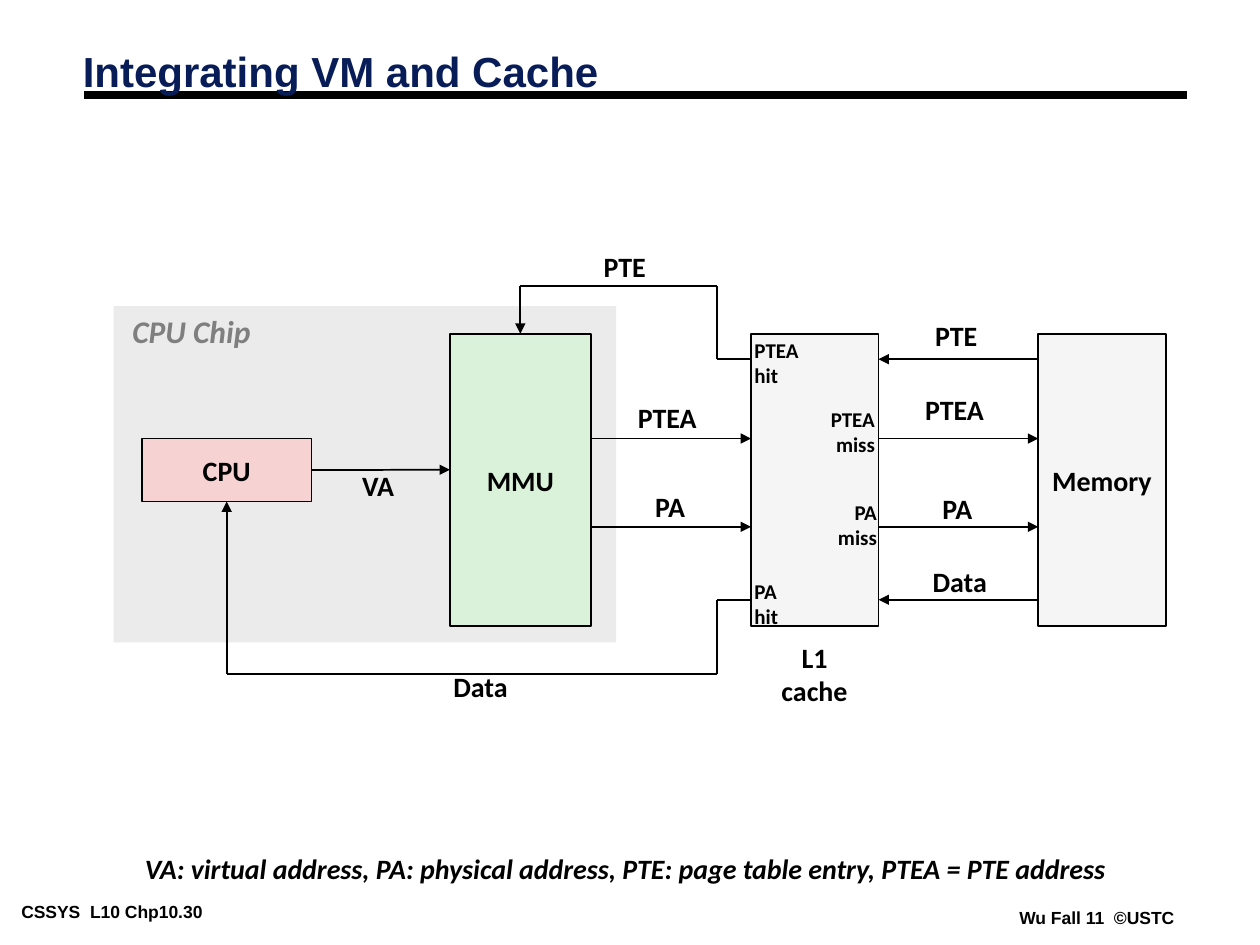
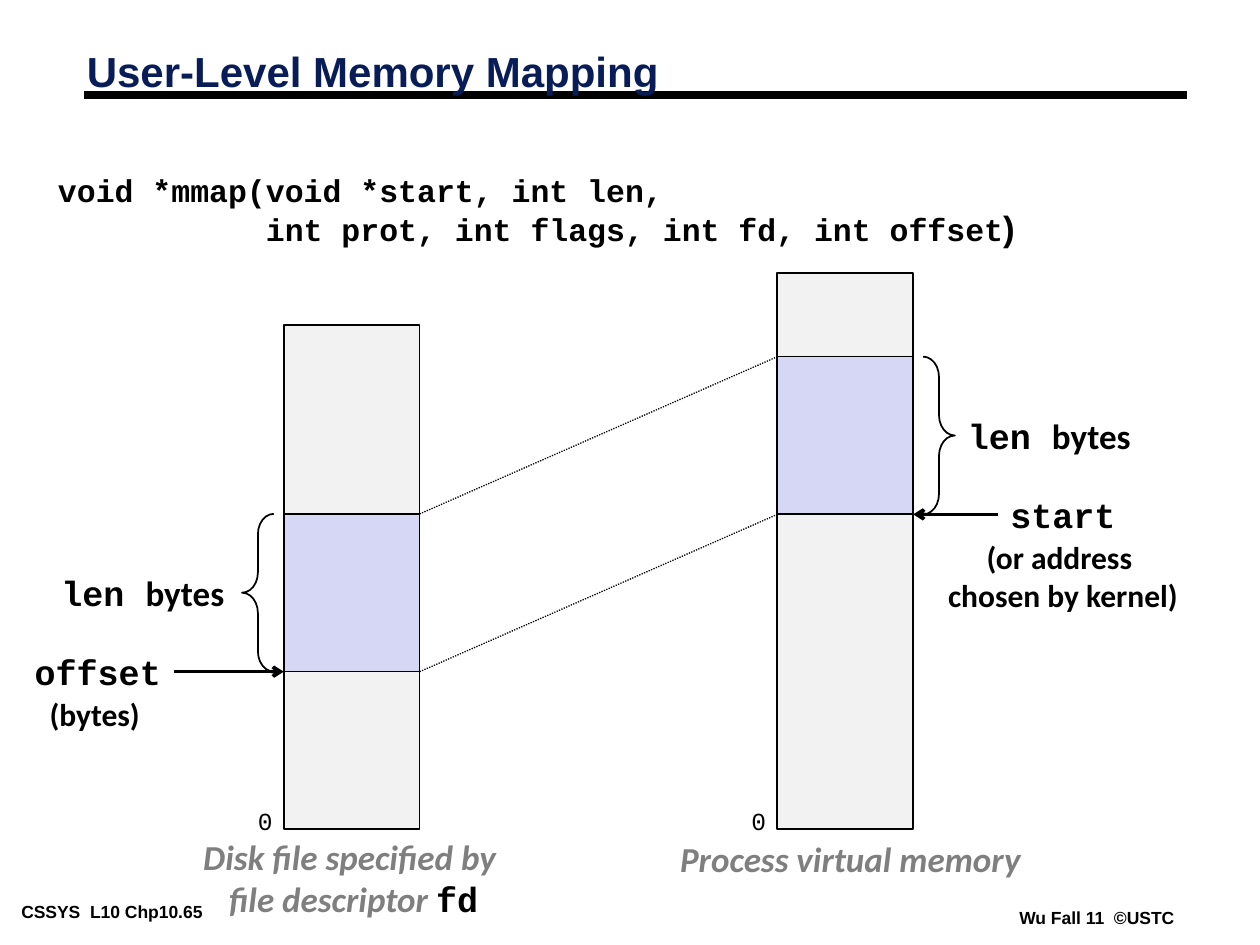
import pptx
import pptx.dml.color
import pptx.enum.dml
import pptx.enum.shapes
import pptx.enum.text
import pptx.oxml.ns
import pptx.util
from itertools import pairwise
from lxml import etree

Cm = pptx.util.Cm
Pt = pptx.util.Pt
RGBColor = pptx.dml.color.RGBColor
ALIGN = pptx.enum.text.PP_ALIGN
ANCHOR = pptx.enum.text.MSO_ANCHOR
FIT = pptx.enum.text.MSO_AUTO_SIZE
SHAPE = pptx.enum.shapes.MSO_SHAPE
STRAIGHT = pptx.enum.shapes.MSO_CONNECTOR.STRAIGHT
DOTTED = pptx.enum.dml.MSO_LINE.ROUND_DOT
qn = pptx.oxml.ns.qn

BLACK = RGBColor(0x00, 0x00, 0x00)
NAVY = RGBColor(0x08, 0x1D, 0x58)
GREY = RGBColor(0x7F, 0x7F, 0x7F)
CHIP_GREY = RGBColor(0xEB, 0xEB, 0xEB)
UNIT_GREY = RGBColor(0xF5, 0xF5, 0xF5)
COLUMN_GREY = RGBColor(0xF2, 0xF2, 0xF2)
PINK = RGBColor(0xF6, 0xD2, 0xD2)
GREEN = RGBColor(0xDB, 0xF2, 0xDA)
LILAC = RGBColor(0xD6, 0xD6, 0xF5)
SANS, HEADING, CODE = "Calibri", "Arial", "Courier New"
WIDE, TIGHT = (0.25, 0.13), (0.18, 0.08)
TOP, LEFT, BOTTOM, RIGHT = range(4)


def write_text(shape, lines, size=16, font=SANS, color=BLACK, bold=True,
               italic=False, align=ALIGN.LEFT, anchor=ANCHOR.TOP,
               insets=WIDE, spacing=None, wrap=False, fit=FIT.SHAPE_TO_FIT_TEXT):
    frame = shape.text_frame
    frame.word_wrap = wrap
    frame.auto_size = fit
    frame.vertical_anchor = anchor
    frame.margin_left = frame.margin_right = Cm(insets[0])
    frame.margin_top = frame.margin_bottom = Cm(insets[1])
    base = {"size": size, "font": font, "color": color, "italic": italic}
    for number, line in enumerate(lines):
        para = frame.paragraphs[0] if number == 0 else frame.add_paragraph()
        para.alignment = align
        if spacing:
            para.line_spacing = spacing
        for words, changes in [(line, {})] if isinstance(line, str) else line:
            style = base | changes
            span = para.add_run()
            span.text = words
            span.font.size = Pt(style["size"])
            span.font.name = style["font"]
            span.font.color.rgb = style["color"]
            span.font.bold = bold
            span.font.italic = style["italic"]


def add_text(page, box, *lines, **style):
    write_text(page.shapes.add_textbox(*map(Cm, box)), lines, **style)


def add_block(page, box, fill=None, outlined=True, label=None, kind=SHAPE.RECTANGLE):
    block = page.shapes.add_shape(kind, *map(Cm, box))
    block.shadow.inherit = False
    if fill is None:
        block.fill.background()
    else:
        block.fill.solid()
        block.fill.fore_color.rgb = fill
    if outlined:
        block.line.color.rgb = BLACK
        block.line.width = Pt(1)
    else:
        block.line.fill.background()
    if label:
        write_text(block, [label], align=ALIGN.CENTER, anchor=ANCHOR.MIDDLE, fit=FIT.NONE)
    return block


def add_line(page, start, end, width=1, arrow=None, dash=None):
    line = page.shapes.add_connector(STRAIGHT, *map(Cm, (*start, *end)))
    line.line.color.rgb = BLACK
    line.line.width = Pt(width)
    if dash:
        line.line.dash_style = dash
    properties = line.element.spPr
    if arrow:
        etree.SubElement(properties.find(qn("a:ln")), qn("a:tailEnd"), type=arrow)
    etree.SubElement(properties, qn("a:effectLst"))
    return line


def add_route(page, points):
    legs = list(pairwise(points))
    for start, end in legs[:-1]:
        add_line(page, start, end)
    return add_line(page, *legs[-1], arrow="triangle")


def add_frame(deck, title, title_left, number):
    page = deck.slides.add_slide(deck.slide_layouts[6])
    footer = {"size": 10, "font": HEADING, "insets": TIGHT}
    add_text(page, (0.25, 18.09, 5.33, 0.56), f"CSSYS  L10 Chp10.{number}", **footer)
    add_text(page, (20.37, 18.21, 3.51, 0.56), "Wu Fall 11  ©USTC", **footer)
    add_line(page, (1.7, 1.91), (23.92, 1.91), width=4.5)
    add_text(page, (title_left, 0.93, 21.08, 1.14), title, size=24, font=HEADING,
             color=NAVY, anchor=ANCHOR.MIDDLE, spacing=0.87, wrap=True)
    return page


def draw_translation(page, box):
    left, top = box[:2]

    def at(x, y, *size):
        return (left + x, top + y, *size)

    add_block(page, at(0, 1.27, 10.13, 6.78), CHIP_GREY, outlined=False)
    add_text(page, at(0.13, 1.27, 2.95, 1.02), "CPU Chip", size=18, color=GREY, italic=True)
    cpu = add_block(page, at(0.57, 3.94, 3.42, 1.27), PINK, label="CPU")
    mmu_x, mmu_end, cache_x, cache_end, memory_x = 6.78, 9.62, 12.85, 15.42, 18.64
    unit_top, unit_height = 1.83, 5.89
    mmu = add_block(page, at(mmu_x, unit_top, mmu_end - mmu_x, unit_height), GREEN, label="MMU")
    for x, label in ((cache_x, None), (memory_x, "Memory")):
        add_block(page, at(x, unit_top, 2.57, unit_height), UNIT_GREY, label=label)

    pte_y, ptea_y, pa_y, data_y = 2.34, 3.94, 5.72, 7.19
    for start, end, y in (
        (mmu_end, cache_x, ptea_y),
        (mmu_end, cache_x, pa_y),
        (memory_x, cache_end, pte_y),
        (cache_end, memory_x, ptea_y),
        (cache_end, memory_x, pa_y),
        (memory_x, cache_end, data_y),
    ):
        add_line(page, at(start, y), at(end, y), arrow="triangle")
    address = add_line(page, at(3.99, 4.57), at(mmu_x, 4.57), arrow="triangle")
    address.begin_connect(cpu, RIGHT)

    bend_x = 12.17
    for start_y, turn_y, end_x, end_y, unit, side in (
        (pte_y, 0.86, 8.2, unit_top, mmu, TOP),
        (data_y, 8.69, 2.28, 5.21, cpu, BOTTOM),
    ):
        corners = ((cache_x, start_y), (bend_x, start_y), (bend_x, turn_y),
                   (end_x, turn_y), (end_x, end_y))
        add_route(page, [at(*corner) for corner in corners]).end_connect(unit, side)

    for x, y, width, label in (
        (4.83, 4.57, 1.05, "VA"),
        (10.39, 3.2, 1.6, "PTEA"),
        (10.74, 5, 1.05, "PA"),
        (16.18, 3.03, 1.6, "PTEA"),
    ):
        add_text(page, at(x, y, width, 0.71), label, insets=TIGHT, spacing=0.85)
    for x, y, width, label in (
        (9.63, 0, 1.5, "PTE"),
        (6.6, 8.46, 1.7, "Data"),
        (16.31, 1.4, 1.5, "PTE"),
        (16.46, 4.87, 1.2, "PA"),
        (16.26, 6.35, 1.7, "Data"),
    ):
        add_text(page, at(x, y, width, 0.94), label, anchor=ANCHOR.MIDDLE)
    for x, y, width, item, result, align in (
        (12.67, 1.78, 1.5, "PTEA", "hit", ALIGN.LEFT),
        (14.2, 3.17, 1.4, "PTEA", "miss", ALIGN.RIGHT),
        (14.34, 5.04, 1.3, "PA", "miss", ALIGN.RIGHT),
        (12.67, 6.64, 1.09, "PA", "hit", ALIGN.LEFT),
    ):
        add_text(page, at(x, y, width, 1.27), item, result, size=12,
                 align=align, anchor=ANCHOR.MIDDLE)
    add_text(page, at(13.13, 7.87, 2, 1.63), "L1", "cache",
             align=ALIGN.CENTER, anchor=ANCHOR.MIDDLE)


def draw_column(page, box, mapped_offset, side, mark, mark_width, arrow_length, note, note_box):
    left, top, width, height = box
    mapped_top, mapped_height = top + mapped_offset, 3.18
    mapped_bottom = mapped_top + mapped_height

    def outside(gap, part_width=0):
        return left - gap - part_width if side == LEFT else left + width + gap

    add_block(page, box, COLUMN_GREY)
    add_block(page, (left, mapped_top, width, mapped_height), LILAC)
    brace = add_block(page, (outside(0.2, 0.64), mapped_top, 0.64, mapped_height),
                      kind=SHAPE.LEFT_BRACE if side == LEFT else SHAPE.RIGHT_BRACE)
    brace.adjustments[0] = 0.64
    add_text(page, (outside(0.85, 3.88), mapped_top + 1.04, 3.88, 1.12),
             [("len ", {"font": CODE}), ("bytes", {})], size=20)
    add_line(page, (outside(arrow_length), mapped_bottom), (outside(0), mapped_bottom),
             width=2, arrow="arrow")
    add_text(page, (outside(arrow_length, mark_width), mapped_bottom - 0.55, mark_width, 1.12),
             mark, size=20, font=CODE)
    note_gap, note_width, note_height = note_box
    add_text(page, (outside(note_gap, note_width), mapped_bottom + 0.35, note_width, note_height),
             *note, size=18, align=ALIGN.CENTER)
    add_text(page, (left - 0.77, top + height - 0.6, 0.79, 0.86), "0",
             size=14, font=CODE, bold=False)
    return mapped_top, mapped_bottom


def build_cache_slide(deck):
    page = add_frame(deck, "Integrating VM and Cache", 1.42, 30)
    draw_translation(page, (2.29, 4.9, 21.21, 9.5))
    add_text(page, (2.74, 17.2, 19.86, 0.71),
             "VA: virtual address, PA: physical address, PTE: page table entry, PTEA = PTE address",
             italic=True, insets=TIGHT, spacing=0.85)


def build_mapping_slide(deck):
    page = add_frame(deck, "User-Level Memory Mapping", 1.5, 65)
    add_text(page, (0.92, 3.39, 23.09, 2.31),
             "void *mmap(void *start, int len,",
             [("           int prot, int flags, int fd, int offset", {}),
              (")", {"size": 20, "font": HEADING})],
             size=18, font=CODE, spacing=0.94, wrap=True, fit=FIT.NONE)
    file_box, memory_box = (5.72, 6.55, 2.74, 10.17), (15.67, 5.5, 2.74, 11.22)
    file_edges = draw_column(page, file_box, 3.81, LEFT, "offset", 3.05, 2.22,
                             ["(bytes)"], (2.64, 2.34, 1.02))
    memory_edges = draw_column(page, memory_box, 1.69, RIGHT, "start", 2.8, 1.71,
                               ["(or address ", "chosen by kernel)"], (0.44, 5.16, 1.78))
    for file_y, memory_y in zip(file_edges, memory_edges):
        add_line(page, (file_box[0] + file_box[2], file_y), (memory_box[0], memory_y),
                 width=0.75, dash=DOTTED)
    caption = {"size": 20, "color": GREY, "italic": True, "align": ALIGN.CENTER}
    add_text(page, (3.84, 16.71, 6.58, 1.96), "Disk file specified by ",
             [("file descriptor ", {}), ("fd", {"font": CODE, "color": BLACK, "italic": False})],
             **caption)
    add_text(page, (13.46, 16.76, 7.37, 1.12), "Process virtual memory", **caption)


def main():
    deck = pptx.Presentation()
    deck.slide_width, deck.slide_height = Cm(25.4), Cm(19.05)
    build_cache_slide(deck)
    build_mapping_slide(deck)
    deck.save("out.pptx")


if __name__ == "__main__":
    main()
